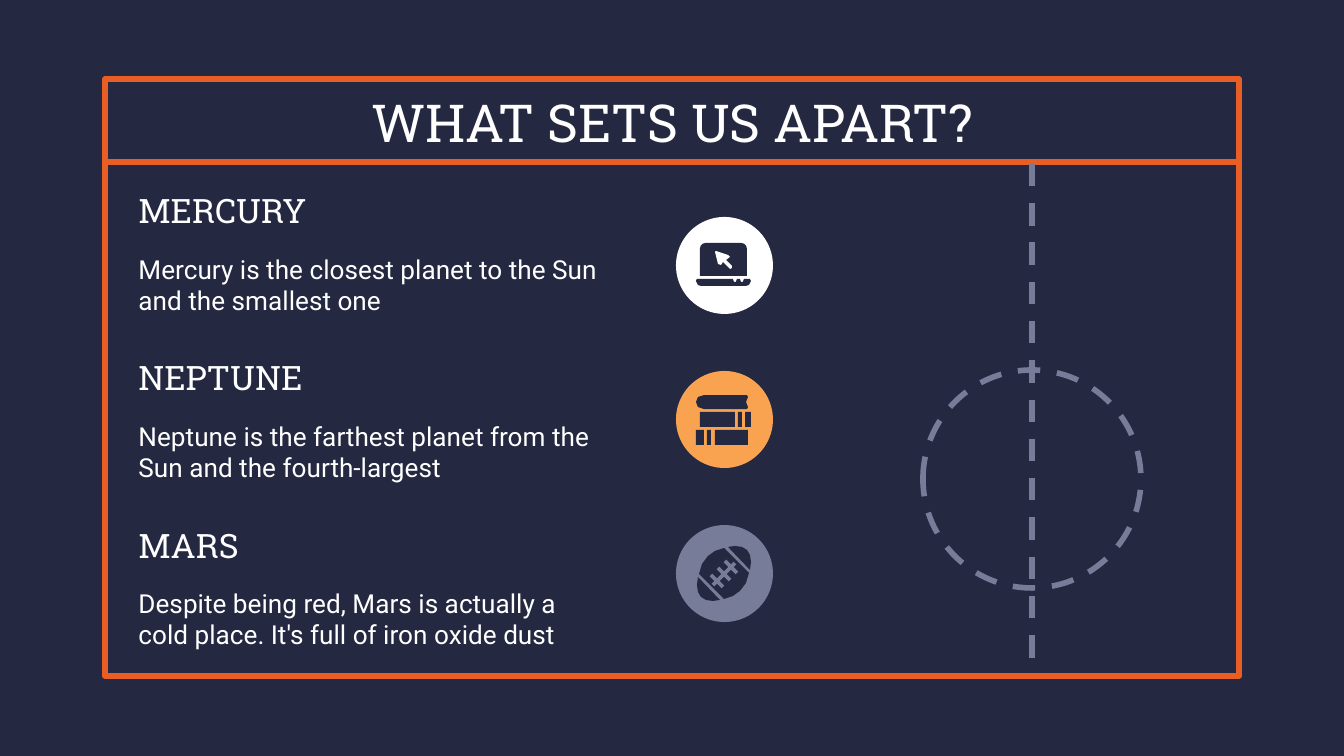
from lxml.etree import SubElement
from pptx import Presentation
from pptx.dml.color import RGBColor
from pptx.enum.dml import MSO_LINE
from pptx.enum.shapes import MSO_CONNECTOR, MSO_SHAPE
from pptx.enum.text import MSO_ANCHOR, MSO_AUTO_SIZE, PP_ALIGN
from pptx.oxml.ns import qn
from pptx.util import Inches, Pt

PX = 6804
NAVY, WHITE, RED, GOLD, GREY = "242841", "FFFFFF", "E95E24", "F9A350", "777D99"
tone = RGBColor.from_string

deck = Presentation()
deck.slide_width, deck.slide_height = 1344 * PX, 756 * PX
slide = deck.slides.add_slide(deck.slide_layouts[4])
slide.background.fill.solid()
slide.background.fill.fore_color.rgb = tone(NAVY)
shapes = slide.shapes


def paint(shape, color):
    shape.shadow.inherit = False
    shape.fill.solid()
    shape.fill.fore_color.rgb = tone(color)
    shape.line.fill.background()


def link(ends, color, width):
    line = shapes.add_connector(MSO_CONNECTOR.STRAIGHT, *[n * PX for n in ends])
    line.line.color.rgb = tone(color)
    line.line.width = Pt(width)
    SubElement(line.element.spPr, qn("a:effectLst"))
    return line


link((108, 162, 1236, 162), RED, 3)
link((1032, 164, 1032, 673), GREY, 3).line.dash_style = MSO_LINE.DASH
for kind, box, color, dash in [
    (MSO_SHAPE.RECTANGLE, (105, 79, 1134, 597), RED, MSO_LINE.SOLID),
    (MSO_SHAPE.OVAL, (923, 370, 218, 218), GREY, MSO_LINE.DASH),
]:
    frame = shapes.add_shape(kind, *[n * PX for n in box])
    frame.shadow.inherit = False
    frame.fill.background()
    frame.line.color.rgb = tone(color)
    frame.line.width = Pt(3)
    frame.line.dash_style = dash

items = [
    ("MERCURY", "Mercury is the closest planet to the Sun and the smallest one", WHITE),
    ("NEPTUNE", "Neptune is the farthest planet from the Sun and the fourth-largest", GOLD),
    ("MARS", "Despite being red, Mars is actually a cold place. It's full of iron oxide dust", GREY),
]
title, *bodies, spare = list(slide.placeholders)[:5]
spare.element.getparent().remove(spare.element)

texts = [(title, (105, 79, 1134, 85), "WHAT SETS US APART?", 28, "Roboto Slab", PP_ALIGN.CENTER)]
for i, (name, note, color) in enumerate(items):
    top = 179 + 167 * i
    head = shapes.add_textbox(0, 0, PX, PX)
    texts.append((head, (125, top, 492, 63), name, 18, "Roboto Slab", PP_ALIGN.LEFT))
    texts.append((bodies[i], (125, top + 63, 492, 85), note, 14, "Roboto", PP_ALIGN.LEFT))
    disc = shapes.add_shape(MSO_SHAPE.OVAL, 676 * PX, (217 + 154 * i) * PX, 97 * PX, 97 * PX)
    paint(disc, color)

for shape, box, words, size, face, align in texts:
    shape.left, shape.top, shape.width, shape.height = [n * PX for n in box]
    frame = shape.text_frame
    frame.text = words
    frame.word_wrap = True
    frame.auto_size = MSO_AUTO_SIZE.NONE
    frame.vertical_anchor = MSO_ANCHOR.MIDDLE
    frame.margin_left = frame.margin_right = Inches(0.1)
    frame.margin_top = frame.margin_bottom = Inches(0.1)
    line = frame.paragraphs[0]
    line.alignment = align
    line.space_before = Pt(0)
    props = line._p.get_or_add_pPr()
    props.set("marL", "0")
    props.set("indent", "0")
    SubElement(props, qn("a:buNone"))
    line.font.size = Pt(size)
    line.font.name = face
    line.font.bold = False
    line.font.color.rgb = tone(WHITE)

screen = shapes.add_shape(MSO_SHAPE.ROUND_2_SAME_RECTANGLE, 700 * PX, 243 * PX, 47 * PX, 33 * PX)
paint(screen, NAVY)
for left, top, width in [
    (700, 412, 35), (738, 412, 4), (745, 412, 6),
    (696, 430, 8), (707, 430, 4), (715, 430, 33),
]:
    block = shapes.add_shape(MSO_SHAPE.RECTANGLE, left * PX, top * PX, width * PX, 15 * PX)
    paint(block, NAVY)

base = [(697, 279), (733, 279), (734, 282), (736, 282), (737, 279), (740, 279), (741, 282),
        (743, 282), (744, 279), (750, 279), (751, 281), (749, 285), (746, 286), (701, 286),
        (698, 285), (696, 281)]
arrow = [(716, 251), (728, 255), (730, 257), (726, 260), (732, 266), (732, 268), (730, 269),
         (723, 262), (721, 265), (718, 264), (715, 252)]
book = [(704, 395), (747, 395), (748, 397), (746, 402), (748, 407), (747, 409), (704, 409),
        (698, 407), (696, 402), (698, 397)]
tip = [(728, 547), (735, 546), (742, 547), (747, 550), (750, 555), (751, 562), (750, 570)]
half = [(724, 548), (715, 551), (708, 556), (702, 564), (699, 574)]
turn = [(1448 - x, 1147 - y) for x, y in tip]
ball = half + [(1448 - x, 1147 - y) for x, y in half]
for points, color in [(base, NAVY), (arrow, WHITE), (book, NAVY),
                      (tip, NAVY), (turn, NAVY), (ball, NAVY)]:
    pen = shapes.build_freeform(*points[0], scale=PX)
    pen.add_line_segments(points[1:])
    paint(pen.convert_to_shape(), color)

link((713, 585, 735, 563), GREY, 2)
for gap in (-7, 0, 7):
    link((718 + gap, 568 - gap, 730 + gap, 580 - gap), GREY, 2)

deck.save("out.pptx")
